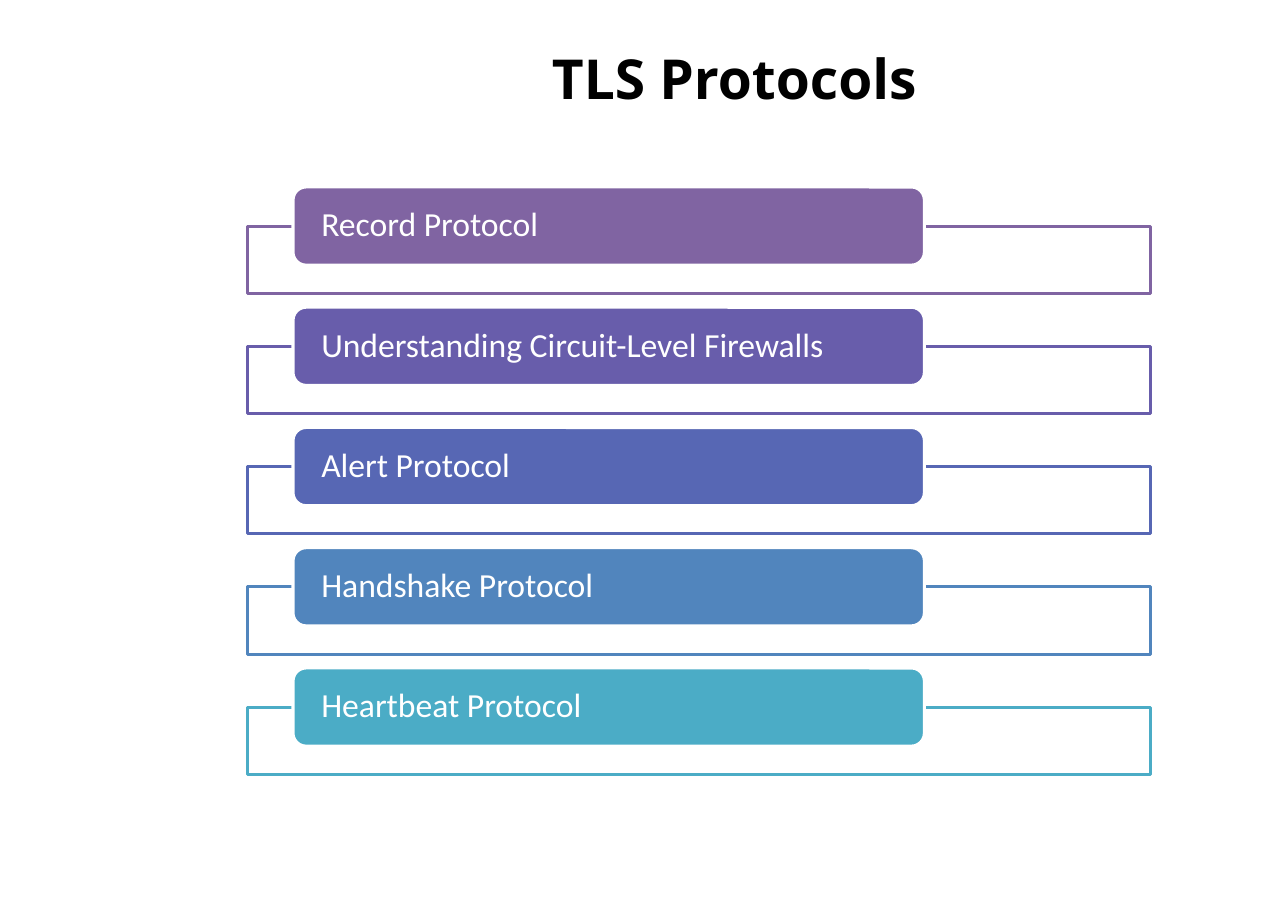
"""Build the TLS Protocols slide: five labelled bars on outlined panels."""
import pptx
import pptx.dml.color
import pptx.enum.shapes
import pptx.enum.text
import pptx.oxml.ns
import pptx.util
from lxml import etree

Pt = pptx.util.Pt
SHAPES = pptx.enum.shapes.MSO_SHAPE
TEXT = pptx.enum.text

COLOURS = {
    "white": "FFFFFF",
    "black": "000000",
    "Record Protocol": "8064A2",
    "Understanding Circuit-Level Firewalls": "685DAB",
    "Alert Protocol": "5767B4",
    "Handshake Protocol": "5185BD",
    "Heartbeat Protocol": "4BACC6",
}
PROTOCOLS = [name for name in COLOURS if name not in ("white", "black")]
PITCH = 78.6
TITLE_FONT = {"name": "Open Sans", "size": Pt(36), "bold": True}
LABEL_FONT = {"name": "Calibri", "size": Pt(22), "bold": False}
TITLE_FRAME = {"margin_left": Pt(8), "margin_right": Pt(8), "margin_top": Pt(4), "margin_bottom": Pt(4)}
LABEL_FRAME = {"margin_left": Pt(16), "margin_right": Pt(16), "margin_top": 0, "margin_bottom": 0}


def add_block(kind, left, top, width, height, fill, line):
    """Add a filled, outlined shape without a shadow."""
    block = page.shapes.add_shape(kind, Pt(left), Pt(top), Pt(width), Pt(height))
    block.shadow.inherit = False
    block.fill.solid()
    block.fill.fore_color.rgb = pptx.dml.color.RGBColor.from_string(COLOURS[fill])
    block.line.color.rgb = pptx.dml.color.RGBColor.from_string(COLOURS[line])
    block.line.width = Pt(2)
    return block


def write_text(box, words, colour, align, font_format, frame_format):
    """Write one formatted paragraph, centred vertically in its box."""
    frame = box.text_frame
    frame.word_wrap = True
    frame.auto_size = TEXT.MSO_AUTO_SIZE.NONE
    frame.vertical_anchor = TEXT.MSO_ANCHOR.MIDDLE
    for key, value in frame_format.items():
        setattr(frame, key, value)
    para = frame.paragraphs[0]
    para.alignment = align
    span = para.add_run()
    span.text = words
    for key, value in font_format.items():
        setattr(span.font, key, value)
    span.font.color.rgb = pptx.dml.color.RGBColor.from_string(COLOURS[colour])
    return para


deck = pptx.Presentation()
deck.slide_width = Pt(841.68)
deck.slide_height = Pt(595.44)
page = deck.slides.add_slide(deck.slide_layouts[5])

title = page.shapes.title
title.left, title.top, title.width, title.height = Pt(255.6), Pt(28.8), Pt(448.6), Pt(43.2)
write_text(title, "TLS Protocols", "black", TEXT.PP_ALIGN.CENTER, TITLE_FONT, TITLE_FRAME)

for row, protocol in enumerate(PROTOCOLS):
    offset = row * PITCH
    panel = add_block(SHAPES.RECTANGLE, 162, 147.8 + offset, 589.7, 43.9, "white", protocol)
    white = panel.fill._xPr.find(".//" + pptx.oxml.ns.qn("a:srgbClr"))
    etree.SubElement(white, pptx.oxml.ns.qn("a:alpha"), val="90000")
    bar = add_block(SHAPES.ROUNDED_RECTANGLE, 191.5, 122.2 + offset, 412.6, 51.1, protocol, "white")
    label = write_text(bar, protocol, "white", TEXT.PP_ALIGN.LEFT, LABEL_FONT, LABEL_FRAME)
    label.line_spacing = 0.9

deck.save("out.pptx")
